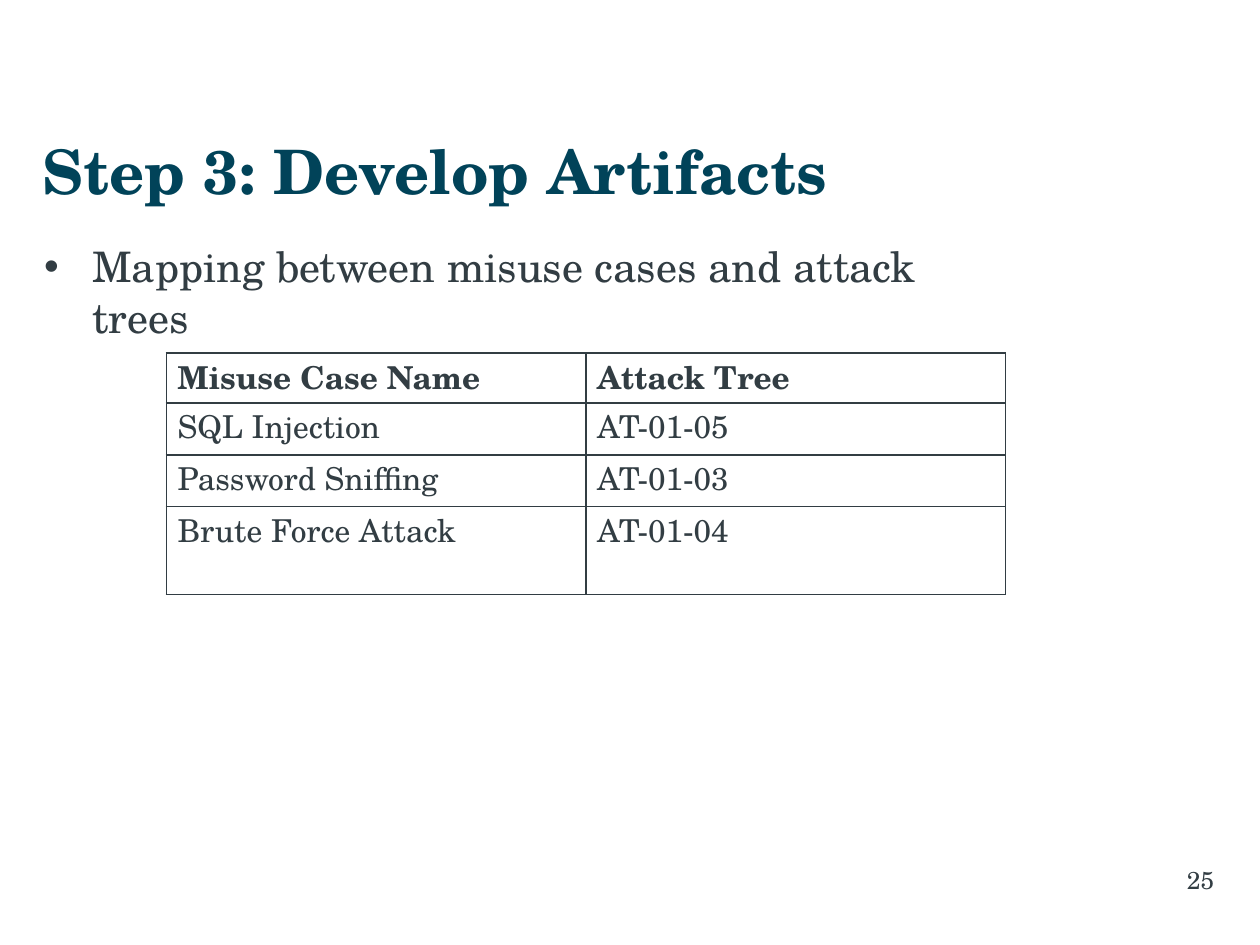
from lxml import etree
from pptx import Presentation
from pptx.dml.color import RGBColor
from pptx.enum.text import MSO_ANCHOR, MSO_AUTO_SIZE, PP_ALIGN
from pptx.oxml.ns import qn
from pptx.util import Inches, Pt

LEFT = PP_ALIGN.LEFT
TOP = MSO_ANCHOR.TOP
NO_AUTOFIT = MSO_AUTO_SIZE.NONE
FONT = "TeX Gyre Schola"
TEAL = "014359"
SLATE = "323D43"
FRAME_FORMAT = {
    "margin_left": 0, "margin_right": 0, "margin_top": 0, "margin_bottom": 0,
    "word_wrap": True, "auto_size": NO_AUTOFIT, "vertical_anchor": TOP,
}


def write(text_frame, text, size, color, bold=False, space_before=0):
    paragraph = text_frame.paragraphs[0]
    paragraph.text = text
    paragraph.alignment = LEFT
    paragraph.space_before = Pt(space_before)
    font_format = {"name": FONT, "size": Pt(size), "bold": bold}
    for name, value in font_format.items():
        setattr(paragraph.font, name, value)
        setattr(paragraph.runs[0].font, name, value)
    paragraph.runs[0].font.color.rgb = RGBColor.from_string(color)
    return paragraph


def place(shape, left, top, width, height):
    """Position a text shape and clear its margins and autofit."""
    shape.left, shape.top = Inches(left), Inches(top)
    shape.width, shape.height = Inches(width), Inches(height)
    for name, value in FRAME_FORMAT.items():
        setattr(shape.text_frame, name, value)


presentation = Presentation()
presentation.slide_width = Inches(10)
presentation.slide_height = Inches(7.5)
slide = presentation.slides.add_slide(presentation.slide_layouts[1])

# Title
title = slide.shapes.title
place(title, 0.34, 1.06, 9.32, 0.59)
write(title.text_frame, "Step 3: Develop Artifacts", 35, TEAL, bold=True)

# Bullet
body = slide.placeholders[1]
place(body, 0.34, 1.91, 7.41, 0.41)
bullet = write(body.text_frame, "Mapping between misuse cases and attack trees", 24, SLATE)
bullet_properties = bullet._p.get_or_add_pPr()
bullet_properties.set("marL", str(Inches(0.39)))
bullet_properties.set("indent", str(Inches(-0.38)))
etree.SubElement(bullet_properties, qn("a:buChar")).set("char", "•")
# The schema wants the bullet ahead of the default run properties.
bullet_properties.append(bullet_properties.find(qn("a:defRPr")))

# Page number
page_number = slide.shapes.add_textbox(0, 0, 0, 0)
place(page_number, 9.37, 6.89, 0.28, 0.22)
page_number.text_frame.margin_left = Inches(0.05)
write(page_number.text_frame, "25", 14, SLATE).line_spacing = Pt(15.1)

# Table of misuse cases and attack trees
rows = [
    ("Misuse Case Name", "Attack Tree"),
    ("SQL Injection", "AT-01-05"),
    ("Password Sniffing", "AT-01-03"),
    ("Brute Force Attack", "AT-01-04"),
]
row_heights = [0.4, 0.41, 0.41, 0.7]
table = slide.shapes.add_table(
    len(rows), 2, Inches(1.32), Inches(2.8), Inches(6.67), Inches(sum(row_heights))
).table
table.horz_banding = False
for column in table.columns:
    column.width = Inches(3.33)

for row_index, (texts, height) in enumerate(zip(rows, row_heights)):
    table.rows[row_index].height = Inches(height)
    for column_index, text in enumerate(texts):
        cell = table.cell(row_index, column_index)
        cell.margin_left = Inches(0.09)
        cell.margin_right = cell.margin_top = cell.margin_bottom = 0
        write(cell.text_frame, text, 18, SLATE, bold=row_index == 0, space_before=3.1)
        cell_properties = cell._tc.get_or_add_tcPr()
        for side in ("lnL", "lnR", "lnT", "lnB"):
            border = etree.SubElement(cell_properties, qn(f"a:{side}"), w=str(Pt(1)))
            fill = etree.SubElement(border, qn("a:solidFill"))
            etree.SubElement(fill, qn("a:srgbClr"), val=SLATE)
        cell.fill.background()
        cell_properties.append(cell_properties.find(qn("a:noFill")))

presentation.save("out.pptx")
